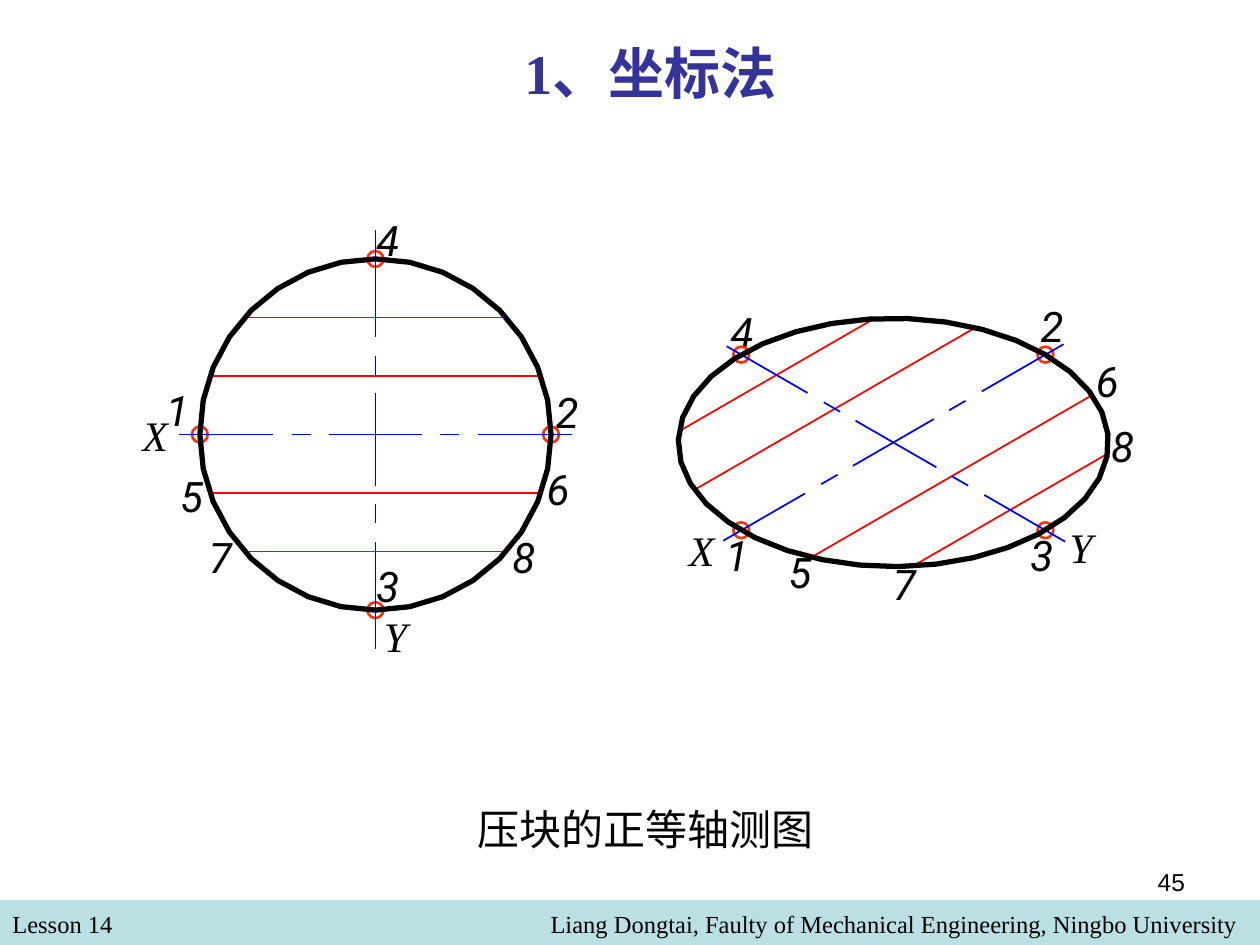
from dataclasses import dataclass
from math import cos, pi, sin, sqrt

from lxml.etree import SubElement
from pptx import Presentation
from pptx.dml.color import RGBColor
from pptx.enum.shapes import MSO_CONNECTOR as Connector, MSO_SHAPE as Shape
from pptx.enum.text import MSO_ANCHOR as Anchor, MSO_AUTO_SIZE as AutoSize, PP_ALIGN as Align
from pptx.oxml.ns import qn
from pptx.util import Cm, Pt

BLACK, RED, BLUE, RING, BAND, HEADING = (
    "000000", "FF0000", "0000FF", "FF3300", "BBE0E3", "333399")
SERIF, LABEL_FONT = "Times New Roman", "Roboto"
RADIUS = 3.54
RING_SIZE = 0.32
LABEL_SIZE = 1.27


@dataclass
class Label:
    text: str
    left: float
    top: float
    width: float = LABEL_SIZE


@dataclass
class View:
    """A circle seen along two unit axes; lengths in cm."""
    center: tuple[float, float]
    x_axis: tuple[float, float]
    y_axis: tuple[float, float]
    y_shift: float  # middle of the Y centre line, along Y
    y_reach: float  # half length of the Y centre line
    chord_gap: float
    segments: int
    labels: list[Label]

    def place(self, x: float, y: float) -> tuple[int, int]:
        return (Cm(self.center[0] + x * self.x_axis[0] + y * self.y_axis[0]),
                Cm(self.center[1] + x * self.x_axis[1] + y * self.y_axis[1]))


def color(value: str) -> RGBColor:
    return RGBColor.from_string(value)


def write(frame, text: str, size: float, font: str = SERIF, ink: str = BLACK,
          align=Align.LEFT, bold: bool = False, italic: bool = False) -> None:
    frame.word_wrap = True
    frame.auto_size = AutoSize.NONE
    frame.vertical_anchor = Anchor.TOP
    paragraph = frame.paragraphs[0]
    paragraph.text = text
    paragraph.alignment = align
    paragraph.font.name = font
    paragraph.font.size = Pt(size)
    paragraph.font.bold = bold
    paragraph.font.italic = italic
    paragraph.font.color.rgb = color(ink)


def add_text(slide, left: float, top: float, width: float, height: float,
             text: str, size: float, **style) -> None:
    box = slide.shapes.add_textbox(Cm(left), Cm(top), Cm(width), Cm(height))
    write(box.text_frame, text, size, **style)


def add_line(slide, start: tuple[int, int], end: tuple[int, int], ink: str) -> None:
    line = slide.shapes.add_connector(Connector.STRAIGHT, *start, *end)
    line.line.color.rgb = color(ink)
    line.line.width = Pt(1)
    SubElement(line._element.spPr, qn("a:effectLst"))


def outline(shape, ink: str, width: float) -> None:
    shape.shadow.inherit = False
    shape.fill.background()
    shape.line.color.rgb = color(ink)
    shape.line.width = Pt(width)


def center_line(reach: float) -> list[tuple[float, float]]:
    """Long and short dashes, symmetric about the middle."""
    half = [(0.81 * 2.54, reach), (1.30, 1.68)]
    return half + [(-0.94, 0.94)] + [(-b, -a) for a, b in half]


def draw_view(slide, view: View) -> None:
    # Chords parallel to X
    for step in (-2, -1, 1, 2):
        y = step * view.chord_gap
        x = sqrt(RADIUS ** 2 - y ** 2)
        add_line(slide, view.place(-x, y), view.place(x, y), RED)

    # Point and axis labels
    for label in view.labels:
        add_text(slide, label.left, label.top, label.width, LABEL_SIZE, label.text, 24,
                 font=SERIF if label.text.isalpha() else LABEL_FONT, italic=True)

    # Rings where the axes meet the curve
    for x, y in ((-RADIUS, 0), (RADIUS, 0), (0, RADIUS), (0, -RADIUS)):
        left, top = view.place(x, y)
        ring = slide.shapes.add_shape(Shape.OVAL, left - Cm(RING_SIZE / 2),
                                      top - Cm(RING_SIZE / 2), Cm(RING_SIZE), Cm(RING_SIZE))
        outline(ring, RING, 1.5)

    # Centre lines
    for start, end in center_line(3.96):
        add_line(slide, view.place(start, 0), view.place(end, 0), BLUE)
    for start, end in center_line(view.y_reach):
        add_line(slide, view.place(0, start + view.y_shift),
                 view.place(0, end + view.y_shift), BLUE)

    # Curve
    angles = [2 * pi * k / view.segments for k in range(view.segments)]
    points = [view.place(RADIUS * cos(t), -RADIUS * sin(t)) for t in angles]
    builder = slide.shapes.build_freeform(*points[0])
    builder.add_line_segments(points[1:], close=True)
    outline(builder.convert_to_shape(), BLACK, 3)


ISO_X, ISO_Y = cos(pi / 6), sin(pi / 6)

PLAN = View((7.57, 8.76), (1, 0), (0, 1), 0.1, 4.22, 1.18, 32, [
    Label("5", 3.38, 9.37), Label("7", 3.96, 10.59),
    Label("8", 10.08, 10.59), Label("6", 10.77, 9.22),
    Label("X", 2.62, 8.13), Label("Y", 7.49, 12.19),
    Label("1", 3.1, 7.62, 0.84), Label("2", 10.95, 7.67),
    Label("3", 7.34, 11.18), Label("4", 7.34, 4.19),
])
ISOMETRIC = View((18.01, 8.92), (ISO_X, -ISO_Y), (ISO_X, ISO_Y), 0.06, 3.94, 1.36, 35, [
    Label("7", 17.75, 11.13), Label("5", 15.65, 10.9),
    Label("6", 21.84, 7.04), Label("8", 22.15, 8.36),
    Label("X", 13.64, 10.44), Label("Y", 21.31, 10.39),
    Label("1", 14.38, 10.54), Label("4", 14.48, 6.05),
    Label("3", 20.52, 10.54), Label("2", 20.73, 5.94),
])


def main() -> None:
    deck = Presentation()
    deck.slide_width, deck.slide_height = Cm(25.4), Cm(19.05)
    slide = deck.slides.add_slide(deck.slide_layouts[5])

    # Title
    title = slide.shapes.title
    title.left, title.top, title.width, title.height = Cm(7.82), Cm(0.64), Cm(10.59), Cm(1.63)
    write(title.text_frame, "1、坐标法", 32, ink=HEADING, align=Align.CENTER, bold=True)

    # Footer
    band = slide.shapes.add_shape(Shape.RECTANGLE, 0, Cm(18.14), Cm(25.4), Cm(0.91))
    band.shadow.inherit = False
    band.fill.solid()
    band.fill.fore_color.rgb = color(BAND)
    band.line.fill.background()
    add_text(slide, 0, 18.21, 12.27, 0.86, "Lesson 14", 14)
    add_text(slide, 4.45, 18.21, 20.75, 0.86,
             "Liang Dongtai, Faulty of Mechanical Engineering, Ningbo University", 14,
             align=Align.RIGHT)
    add_text(slide, 18.21, 17.35, 5.93, 1.32, "45", 14, font="Arial", align=Align.RIGHT)

    # Drawings and caption
    for view in (ISOMETRIC, PLAN):
        draw_view(slide, view)
    add_text(slide, 8.46, 16.08, 9.09, 1.27, "压块的正等轴测图", 24, align=Align.CENTER)

    deck.save("out.pptx")


if __name__ == "__main__":
    main()
